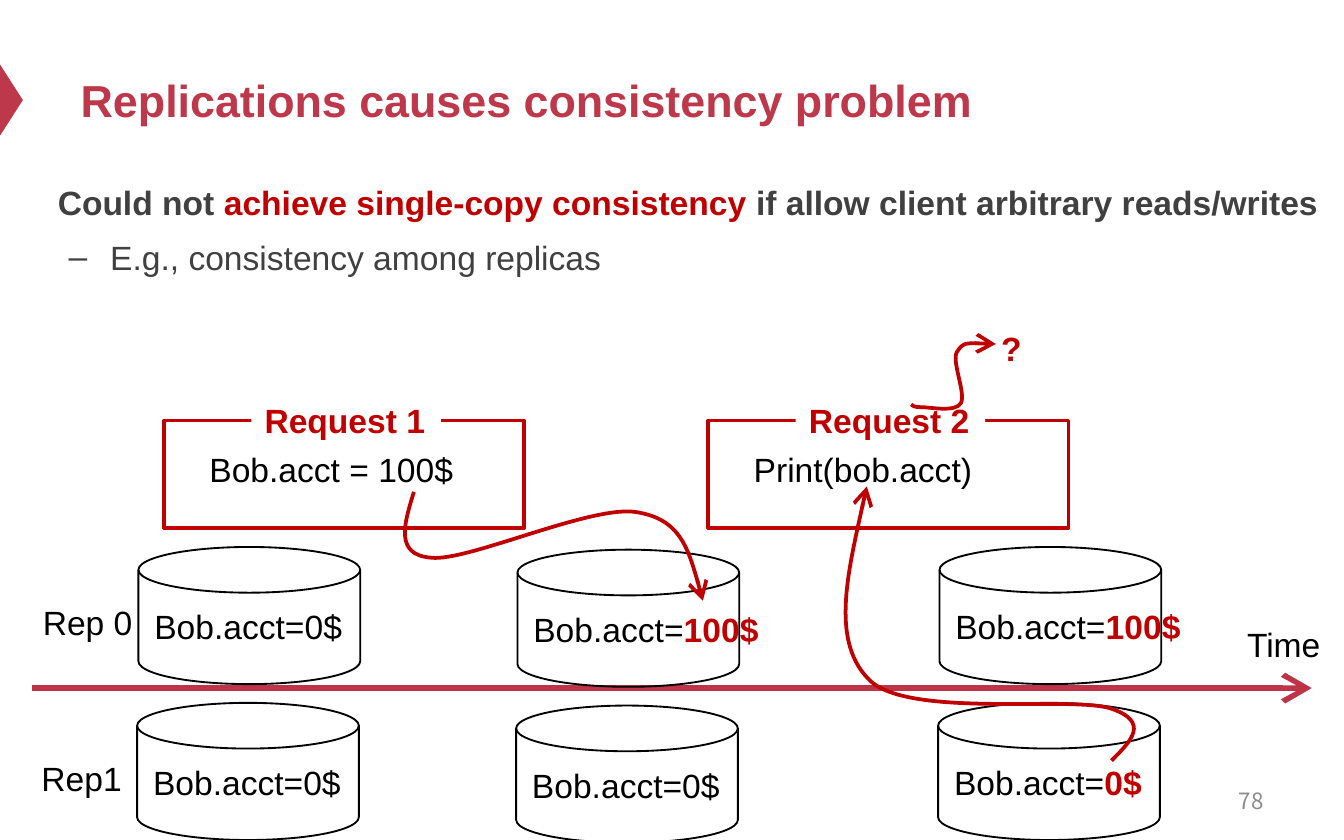
from dataclasses import dataclass

import pptx
import pptx.util
from lxml import etree
from pptx.dml.color import RGBColor
from pptx.enum.shapes import MSO_CONNECTOR, MSO_SHAPE
from pptx.enum.text import MSO_ANCHOR, MSO_AUTO_SIZE, PP_ALIGN
from pptx.oxml.ns import qn
from pptx.util import Inches


@dataclass(frozen=True)
class Theme:
    font: str = "Arial"
    number_font: str = "Noto Sans CJK SC"
    brand: str = "BE384B"
    axis: str = "BD3347"
    accent: str = "C00000"
    body: str = "404040"
    ink: str = "000000"
    muted: str = "8C8C8C"
    paper: str = "FFFFFF"
    title_size: int = 24
    text_size: int = 18
    number_size: int = 12


THEME = Theme()
LINE_HEIGHT = 0.4


def set_font(font, color, size=THEME.text_size, bold=False, name=THEME.font):
    font.name, font.size, font.bold = name, pptx.util.Pt(size), bold
    font.color.rgb = RGBColor.from_string(color)


def set_line(shape, color, width):
    shape.line.color.rgb = RGBColor.from_string(color)
    shape.line.width = pptx.util.Pt(width)


def add_arrowhead(shape):
    outline = shape._element.spPr.find(qn("a:ln"))
    etree.SubElement(outline, qn("a:tailEnd"), type="arrow", w="lg", len="lg")


def place(shape, left, top, width, height):
    shape.left, shape.top = Inches(left), Inches(top)
    shape.width, shape.height = Inches(width), Inches(height)


def add_label(shapes, text, left, top, width, color=THEME.ink, bold=False,
              wrap=False, highlight=""):
    """One line of text, optionally ending in a highlighted value."""
    label = shapes.add_textbox(*map(Inches, (left, top, width, LINE_HEIGHT)))
    frame = label.text_frame
    frame.word_wrap = wrap
    frame.auto_size = MSO_AUTO_SIZE.SHAPE_TO_FIT_TEXT
    paragraph = frame.paragraphs[0]
    paragraph.add_run().text = text
    set_font(paragraph.font, color, bold=bold)
    if highlight:
        value = paragraph.add_run()
        value.text = highlight
        set_font(value.font, THEME.accent, bold=True)
    return label


def add_request(slide, left, name, operation, operation_width):
    """Framed request whose name interrupts the top border."""
    top = 3.13
    shapes = slide.shapes.add_group_shape().shapes
    border = shapes.add_shape(MSO_SHAPE.RECTANGLE, *map(Inches, (left, top, 2.68, 0.8)))
    border.shadow.inherit = False
    border.fill.solid()
    border.fill.fore_color.rgb = RGBColor.from_string(THEME.paper)
    set_line(border, THEME.accent, 2)
    heading = add_label(shapes, name, left + 0.65, top - 0.2, 1.41, THEME.accent, True)
    heading.fill.solid()
    heading.fill.fore_color.rgb = RGBColor.from_string(THEME.paper)
    add_label(shapes, operation, left + 0.24, top + 0.16, operation_width)


def add_replica(slide, left, top, balance, changed, replica_name):
    """Disk holding an account balance, with the replica name at its left."""
    shapes = slide.shapes.add_group_shape().shapes
    disk = shapes.add_shape(MSO_SHAPE.FLOWCHART_MAGNETIC_DISK,
                            *map(Inches, (left, top, 1.65, 1.02)))
    disk.shadow.inherit = False
    disk.fill.background()
    set_line(disk, THEME.ink, 1)
    if replica_name:
        add_label(shapes, replica_name, left - 0.81, top + 0.36, 1.61, wrap=True)
    text, highlight = ("Bob.acct=", balance) if changed else ("Bob.acct=" + balance, "")
    width = 1.89 if balance == "100$" else 1.61
    add_label(shapes, text, left + 0.02, top + 0.39, width, highlight=highlight)


def add_curve(slide, *points):
    """Curved arrow: a start, then two Bezier handles and an end per segment."""
    units_per_inch = 1000
    start, *rest = [(round(x * units_per_inch), round(y * units_per_inch))
                    for x, y in points]
    builder = slide.shapes.build_freeform(*start, scale=Inches(1) / units_per_inch)
    builder.add_line_segments(rest, close=False)
    curve = builder.convert_to_shape()
    segments = list(curve._element.iter(qn("a:lnTo")))
    for i in range(0, len(segments), 3):
        bezier = etree.Element(qn("a:cubicBezTo"))
        segments[i].addprevious(bezier)
        for segment in segments[i:i + 3]:
            bezier.append(segment[0])
            segment.getparent().remove(segment)
    curve.shadow.inherit = False
    curve.fill.background()
    set_line(curve, THEME.accent, 2)
    add_arrowhead(curve)


def add_time_axis(slide):
    axis = slide.shapes.add_connector(MSO_CONNECTOR.STRAIGHT,
                                      *map(Inches, (0.24, 5.12, 9.76, 5.12)))
    set_line(axis, THEME.axis, 3)
    add_arrowhead(axis)
    etree.SubElement(axis._element.spPr, qn("a:effectLst"))
    add_label(slide.shapes, "Time", 9.18, 4.59, 0.75)


def set_bullet(paragraph, character="", margin=0, indent=0):
    properties = paragraph._p.get_or_add_pPr()
    properties.set("marL", str(Inches(margin)))
    properties.set("indent", str(Inches(indent)))
    if character:
        etree.SubElement(properties, qn("a:buChar"), char=character)
    else:
        etree.SubElement(properties, qn("a:buNone"))


def add_title(slide):
    marker = slide.shapes.add_shape(MSO_SHAPE.ISOSCELES_TRIANGLE,
                                    *map(Inches, (-0.18, 0.66, 0.53, 0.17)))
    marker.rotation = 90
    marker.shadow.inherit = False
    marker.fill.solid()
    marker.fill.fore_color.rgb = RGBColor.from_string(THEME.brand)
    marker.line.fill.background()

    title = slide.shapes.title
    place(title, 0.5, 0.25, 9, 0.98)
    title.text_frame.text = "Replications causes consistency problem"
    title.text_frame.vertical_anchor = MSO_ANCHOR.MIDDLE
    paragraph = title.text_frame.paragraphs[0]
    paragraph.alignment = PP_ALIGN.LEFT
    set_font(paragraph.font, THEME.brand, THEME.title_size, True)


def add_statement(slide):
    body = slide.placeholders[1]
    place(body, 0.33, 1.24, 10.18, 2.36)
    frame = body.text_frame
    frame.auto_size = MSO_AUTO_SIZE.NONE
    claim = frame.paragraphs[0]
    set_bullet(claim)
    claim.space_before = pptx.util.Pt(0)
    for text, color in (("Could not ", THEME.body),
                        ("achieve single-copy consistency ", THEME.accent),
                        ("if allow client arbitrary reads/writes", THEME.body)):
        run = claim.add_run()
        run.text = text
        set_font(run.font, color, bold=True)

    example = frame.add_paragraph()
    example.text = "E.g., consistency among replicas"
    example.level = 1
    set_bullet(example, "–", 0.39, -0.31)
    example.space_before = pptx.util.Pt(3.6)
    set_font(example.font, THEME.body)
    for paragraph in frame.paragraphs:
        paragraph.line_spacing = 1.2


def add_page_number(slide):
    number = slide.shapes.add_textbox(*map(Inches, (7.17, 5.79, 2.33, 0.33)))
    number.text_frame.word_wrap = True
    number.text_frame.vertical_anchor = MSO_ANCHOR.MIDDLE
    paragraph = number.text_frame.paragraphs[0]
    paragraph.text = "78"
    paragraph.alignment = PP_ALIGN.RIGHT
    set_font(paragraph.font, THEME.muted, THEME.number_size, name=THEME.number_font)


def main():
    deck = pptx.Presentation()
    deck.slide_width, deck.slide_height = Inches(10), Inches(6.25)
    slide = deck.slides.add_slide(deck.slide_layouts[1])
    add_title(slide)
    add_statement(slide)
    add_page_number(slide)
    add_time_axis(slide)

    # Requests and the unknown answer
    add_request(slide, 1.22, "Request 1", "Bob.acct = 100$", 2.03)
    add_request(slide, 5.27, "Request 2", "Print(bob.acct)", 1.84)
    add_label(slide.shapes, "?", 7.35, 2.39, 0.36, THEME.accent, True)

    # Both replicas at three moments: position, then balance and whether it is marked
    moments = (
        (1.03, 4.07, ("0$", False), ("0$", False), ("Rep 0", "Rep1")),
        (3.85, 4.09, ("100$", True), ("0$", False), ("", "")),
        (6.99, 4.07, ("100$", True), ("0$", True), ("", "")),
    )
    for left, top, first, second, names in moments:
        add_replica(slide, left, top, *first, names[0])
        add_replica(slide, left - 0.01, top + 1.16, *second, names[1])

    # Answer, write and read flows
    add_curve(slide, (6.78, 3.01), (6.79, 3.02), (6.8, 3.03), (6.86, 3.03),
              (6.92, 3.03), (7.11, 3.07), (7.15, 3),
              (7.19, 2.93), (7.08, 2.69), (7.12, 2.62),
              (7.17, 2.54), (7.29, 2.55), (7.41, 2.56))
    add_curve(slide, (3.08, 3.66), (3.01, 3.89), (2.93, 4.13), (3.21, 4.15),
              (3.48, 4.18), (4.39, 3.76), (4.73, 3.81),
              (5.06, 3.86), (5.15, 4.16), (5.23, 4.47))
    add_curve(slide, (8.27, 5.66), (8.42, 5.51), (8.56, 5.37), (8.26, 5.27),
              (7.96, 5.18), (6.78, 5.34), (6.48, 5.07),
              (6.18, 4.79), (6.32, 4.2), (6.45, 3.62))
    deck.save("out.pptx")


if __name__ == "__main__":
    main()
